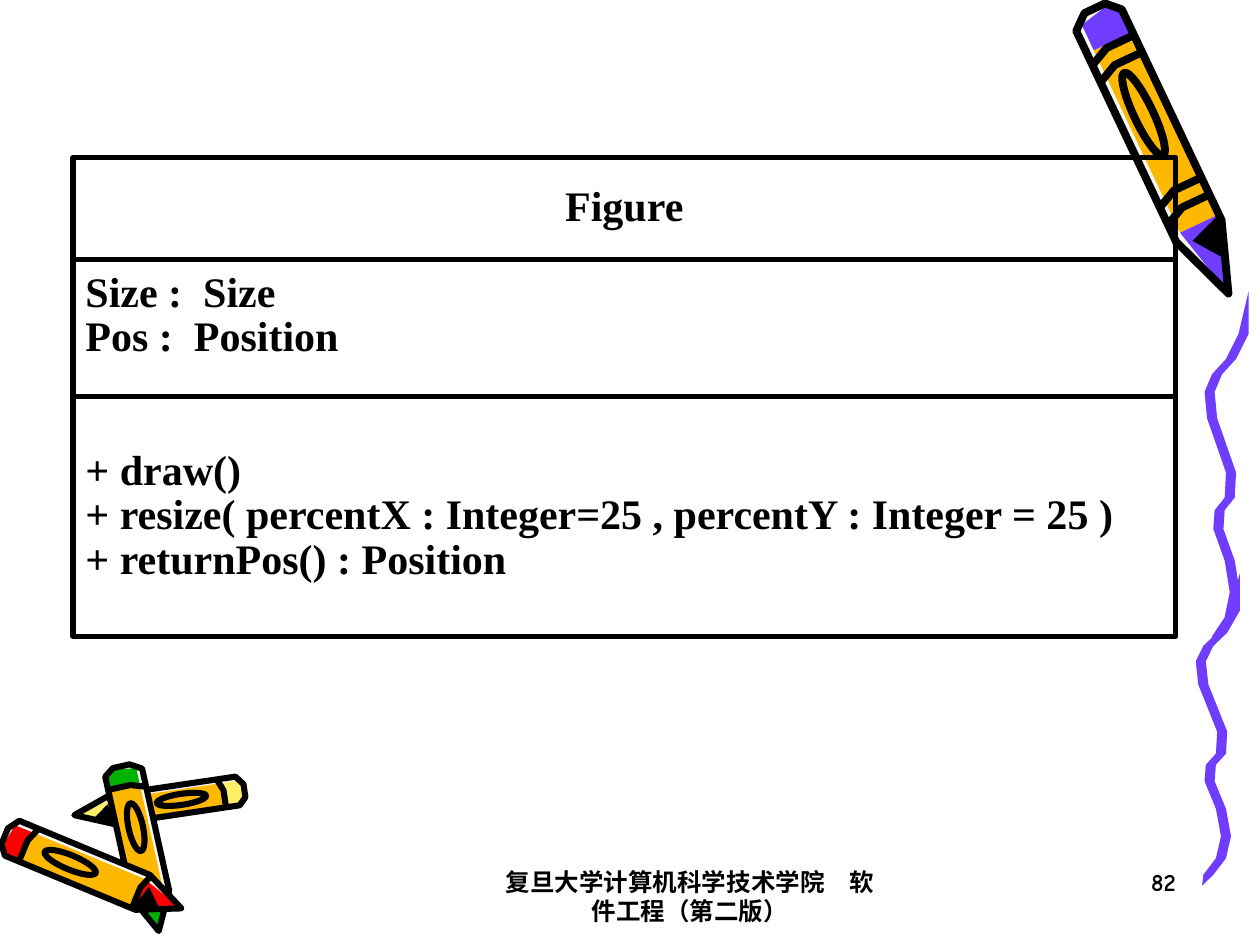
from dataclasses import dataclass
from math import atan2, degrees, hypot

from pptx import Presentation
from pptx.dml.color import RGBColor
from pptx.enum.shapes import MSO_SHAPE
from pptx.enum.text import MSO_ANCHOR, PP_ALIGN
from pptx.util import Inches, Pt

BLACK = "000000"
WHITE = "F8F8F8"
PURPLE = "703DFF"
ORANGE = "FFB800"
YELLOW = "FFEF66"
GREEN = "00B200"
RED = "FF0000"

BODY = [(0.04, -0.5), (0, -0.2), (0, 0.25), (0.04, 0.5), (0.78, 0.5), (1, 0), (0.78, -0.5)]
CAP = [(0.03, -0.35), (0.01, 0.25), (0.04, 0.55), (0.12, 0.55), (0.12, -0.35)]
LABEL = [(0.12, -0.35), (0.12, 0.55), (0.76, 0.55), (0.76, -0.35)]
TIP = [(0.76, -0.35), (0.76, 0.55), (1, 0)]
COLLAR = [(0.76, 0.5), (0.9, 0.25), (0.8, -0.2)]
OVAL_CENTER, OVAL_LENGTH, OVAL_WIDTH = 0.37, 0.29, 0.38

RIBBON_THICKNESS = 0.08
RIBBON_HEIGHT = 2.84
RIBBON_SPINE = [
    (0.35, 0), (0.31, 0.34), (0.21, 0.54), (0.1, 0.66), (0.04, 0.8),
    (0.06, 1.01), (0.21, 1.44), (0.2, 1.64), (0.12, 1.74), (0.11, 1.89),
    (0.2, 2.14), (0.24, 2.39), (0.2, 2.59), (0.1, 2.74), (0.05, 2.84),
]


def color(value):
    return RGBColor.from_string(value)


def write(frame, text, font="Times New Roman", size=24, align=PP_ALIGN.JUSTIFY, spacing=None):
    frame.word_wrap = True
    for index, line in enumerate(text.split("\n")):
        para = frame.paragraphs[0] if index == 0 else frame.add_paragraph()
        para.alignment = align
        para.line_spacing = spacing
        span = para.add_run()
        span.text = line
        span.font.name = font
        span.font.size = Pt(size)
        span.font.bold = True
        span.font.color.rgb = color(BLACK)


@dataclass
class Crayon:
    wax: str
    back: tuple
    point: tuple
    width: float
    stroke: float = 3.5
    bands: tuple = (0.12, 0.76)

    def __post_init__(self):
        self.run = self.point[0] - self.back[0]
        self.rise = self.point[1] - self.back[1]
        self.length = hypot(self.run, self.rise)
        self.angle = degrees(atan2(self.rise, self.run))

    def place(self, along, across):
        offset = across * self.width / self.length
        return (self.back[0] + along * self.run - offset * self.rise,
                self.back[1] + along * self.rise + offset * self.run)

    def outline(self, part):
        return [self.place(along, across) for along, across in part]


class ClassDiagramSlide:
    line_width = 3
    left = Inches(0.58)
    width = Inches(8.75)
    footer_top = Inches(6.83)
    footer_height = Inches(0.5)

    def __init__(self, deck):
        self.page = deck.slides.add_slide(deck.slide_layouts[6])

    def paint(self, shape, fill=None, stroke=None):
        shape.shadow.inherit = False
        if fill:
            shape.fill.solid()
            shape.fill.fore_color.rgb = color(fill)
        else:
            shape.fill.background()
        if stroke:
            shape.line.color.rgb = color(BLACK)
            shape.line.width = Pt(stroke)
        else:
            shape.line.fill.background()

    def polygon(self, parent, points, fill=None, stroke=None, close=True):
        corners = [(Inches(x), Inches(y)) for x, y in points]
        builder = parent.shapes.build_freeform(*corners[0])
        builder.add_line_segments(corners[1:], close=close)
        self.paint(builder.convert_to_shape(), fill, stroke)

    def crayon(self, crayon):
        group = self.page.shapes.add_group_shape()
        parts = [(BODY, WHITE), (CAP, crayon.wax), (LABEL, ORANGE),
                 (TIP, crayon.wax), (COLLAR, BLACK)]
        for part, fill in parts:
            self.polygon(group, crayon.outline(part), fill)
        self.polygon(group, crayon.outline(BODY), stroke=crayon.stroke)
        for start in crayon.bands:
            band = [(start + 0.03, -0.5), (start, -0.1), (start, 0.5)]
            self.polygon(group, crayon.outline(band), stroke=crayon.stroke, close=False)
        self.oval(group, crayon)

    def oval(self, group, crayon):
        x, y = crayon.place(OVAL_CENTER, 0)
        length = OVAL_LENGTH * crayon.length
        height = OVAL_WIDTH * abs(crayon.width)
        shape = group.shapes.add_shape(
            MSO_SHAPE.OVAL, Inches(x - length / 2), Inches(y - height / 2),
            Inches(length), Inches(height))
        shape.rotation = crayon.angle
        self.paint(shape, stroke=crayon.stroke)

    def ribbon(self, left, top, height):
        scale = height / RIBBON_HEIGHT
        spine = [(left + x, top + y * scale) for x, y in RIBBON_SPINE]
        half = RIBBON_THICKNESS / 2
        left_edge = [(x - half, y) for x, y in spine[1:-1]]
        right_edge = [(x + half, y) for x, y in spine[-2:0:-1]]
        self.polygon(self.page, [spine[0], *left_edge, spine[-1], *right_edge], PURPLE)

    def compartment(self, top, height, text, align=PP_ALIGN.JUSTIFY, bottom_inset=0.05):
        box = self.page.shapes.add_shape(
            MSO_SHAPE.RECTANGLE, self.left, Inches(top), self.width, Inches(height))
        self.paint(box, stroke=self.line_width)
        box.text_frame.vertical_anchor = MSO_ANCHOR.MIDDLE
        box.text_frame.margin_bottom = Inches(bottom_inset)
        write(box.text_frame, text, align=align, spacing=0.88)

    def footer(self, left, width, text, align):
        box = self.page.shapes.add_textbox(
            Inches(left), self.footer_top, Inches(width), self.footer_height)
        write(box.text_frame, text, font="Comic Neue", size=14, align=align)


def main():
    deck = Presentation()
    deck.slide_width = Inches(10)
    deck.slide_height = Inches(7.5)
    slide = ClassDiagramSlide(deck)

    crayons = [
        Crayon(PURPLE, (8.68, 0.07), (9.75, 2.33), -0.4, 4.5, (0.13, 0.19, 0.63, 0.69)),
        Crayon(YELLOW, (1.94, 6.27), (0.59, 6.47), -0.23),
        Crayon(GREEN, (0.97, 6.08), (1.26, 7.39), 0.3),
        Crayon(RED, (0.04, 6.63), (1.44, 7.21), 0.3),
    ]
    for crayon in crayons:
        slide.crayon(crayon)
    slide.ribbon(9.49, 4.55, 2.48)
    slide.ribbon(9.56, 2.31, RIBBON_HEIGHT)

    slide.footer(3.89, 3.17, "复旦大学计算机科学技术学院　软件工程（第二版）", PP_ALIGN.CENTER)
    slide.footer(7.35, 2.08, "82", PP_ALIGN.RIGHT)

    slide.compartment(1.25, 0.81, "Figure", align=PP_ALIGN.CENTER)
    slide.compartment(2.06, 1.09, "Size :  Size\nPos :  Position", bottom_inset=0.24)
    slide.compartment(3.15, 1.9, "+ draw()\n"
                      "+ resize( percentX : Integer=25 , percentY : Integer = 25 )\n"
                      "+ returnPos() : Position")

    deck.save("out.pptx")


if __name__ == "__main__":
    main()
